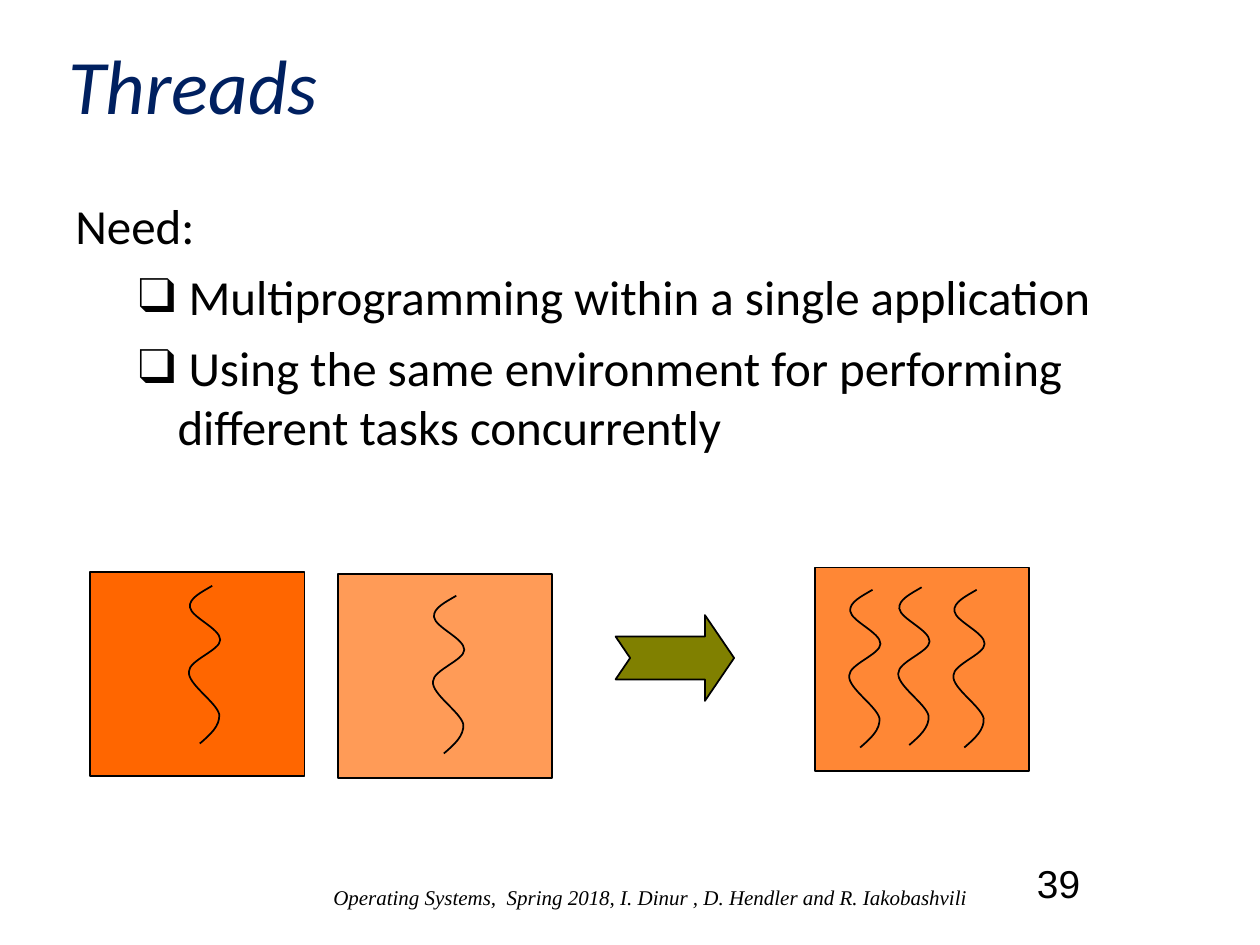
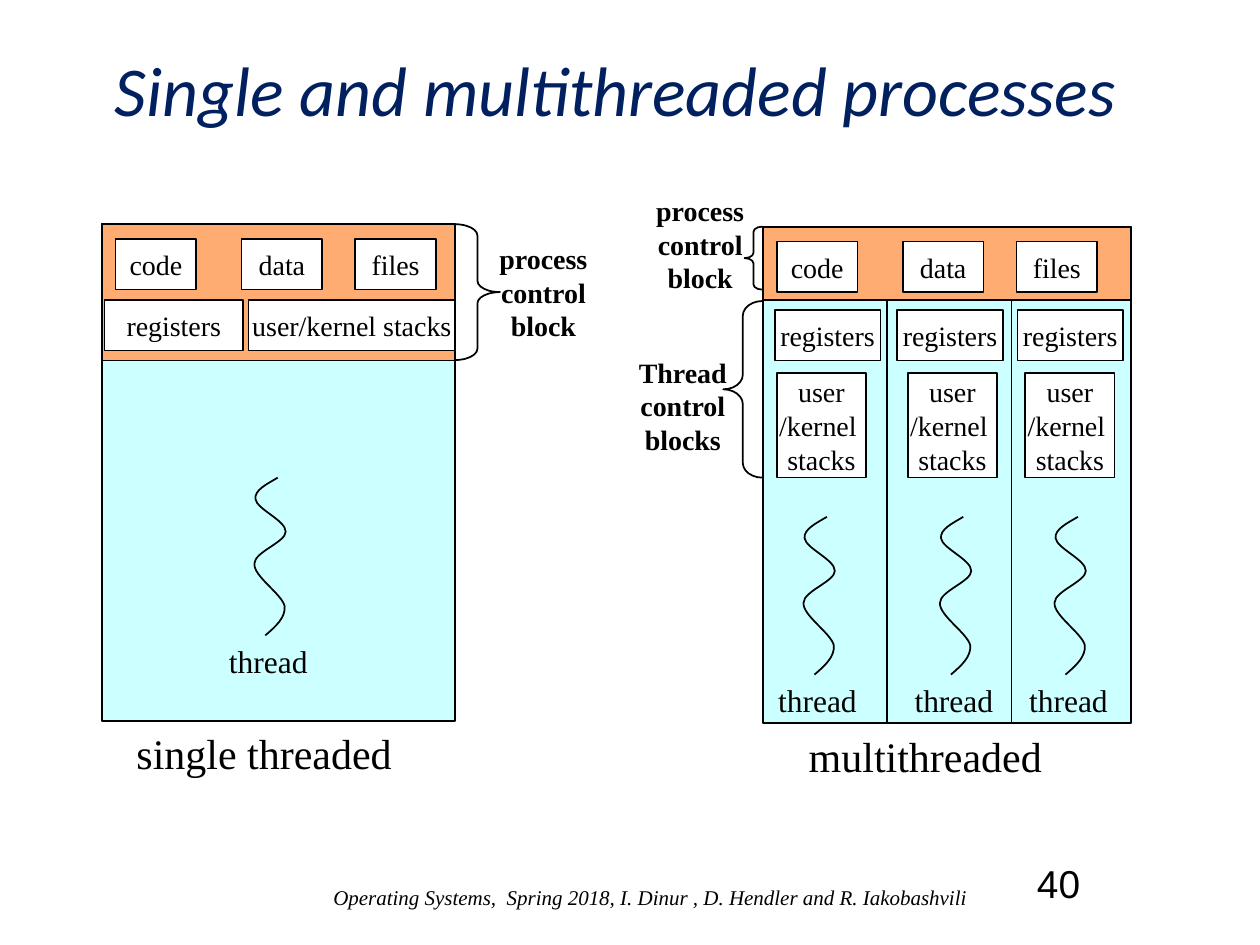
import copy

import pptx
import pptx.dml.color
import pptx.enum.shapes
import pptx.enum.text
import pptx.oxml
import pptx.oxml.ns
import pptx.util

Cm = pptx.util.Cm
Pt = pptx.util.Pt
SHAPE = pptx.enum.shapes.MSO_SHAPE
ALIGN = pptx.enum.text.PP_ALIGN
ANCHOR = pptx.enum.text.MSO_ANCHOR
qn = pptx.oxml.ns.qn

BLACK, WHITE, NAVY = "000000", "FFFFFF", "002060"
CYAN, PEACH, OLIVE = "CCFFFF", "FFAC73", "808000"
SERIF, SANS = "Times New Roman", "Calibri"

FOOTER = "Operating Systems,  Spring 2018, I. Dinur , D. Hendler and R. Iakobashvili"
FOOTER_AT = (5.75, 17.7, 14.73, 0.89)
PAGE_AT = (18.7, 17.32, 5.28, 1.27)

NEED = "Need:"
NEEDS = [
    " Multiprogramming within a single application",
    " Using the same environment for performing different tasks concurrently",
]
NEED_AT = (1.27, 3.81, 22.71, 6.43)
PROGRAMS = [
    (1.82, 11.53, "FF6600", [(3.78, 11.81)]),
    (6.81, 11.57, "FF9B57", [(8.7, 12.01)]),
    (16.43, 11.44, "FF8735", [(17.09, 11.89), (18.08, 11.84), (19.19, 11.89)]),
]
PROGRAM_SIZE = (4.32, 4.11)
ARROW_AT = (12.41, 12.4, 2.39, 1.73)

SHARED = [("code", 0.28), ("data", 2.82), ("files", 5.11)]
STACKS = "user\n/kernel \nstacks"
PROCESS_HEIGHT = 10.01
PROCESSES = [
    {
        "name": "single threaded", "left": 2.05, "top": 4.52, "width": 7.13, "header": 2.75,
        "blocks": [
            ("registers", 0.06, 1.53, 2.79, 1.02),
            ("user/kernel stacks", 2.96, 1.53, 4.17, 1.02),
        ],
        "dividers": [], "threads": [3.05], "thread_top": 5.11,
    },
    {
        "name": "multithreaded", "left": 15.38, "top": 4.57, "width": 7.42, "header": 1.48,
        "blocks": [("registers", x, 1.68, 2.13, 1.02) for x in (0.24, 2.71, 5.13)]
        + [(STACKS, x, 2.95, 1.8, 2.11) for x in (0.28, 2.92, 5.29)],
        "dividers": [2.5, 5.01], "threads": [0.79, 3.54, 5.85], "thread_top": 5.85,
    },
]
BRACES = [
    ("process control block", (9.7, 4.75), SHAPE.RIGHT_BRACE, (9.17, 4.52, 0.91, 2.74)),
    ("process control block", (12.86, 3.78), SHAPE.LEFT_BRACE, (15.01, 4.57, 0.36, 1.27)),
    ("Thread control blocks", (12.51, 7.04), SHAPE.LEFT_BRACE, (14.58, 6.07, 0.79, 3.56)),
]
BRACE_LABEL_SIZE = (2.51, 2.29)

THREAD_START = (0.5, 0)
THREAD_CURVES = [
    ((0.28, 0.13), (0.03, 0.25), (0.05, 0.43)),
    ((0.08, 0.64), (0.66, 0.86), (0.66, 1.09)),
    ((0.66, 1.3), (0.03, 1.5), (0.03, 1.73)),
    ((0, 1.98), (0.58, 2.34), (0.64, 2.59)),
    ((0.66, 2.82), (0.46, 3), (0.25, 3.18)),
]


def rgb(value):
    return pptx.dml.color.RGBColor.from_string(value)


def box(at):
    return [Cm(v) for v in at]


def add_xml(parent, tag, **attributes):
    el = parent.makeelement(qn(tag), attributes)
    parent.append(el)
    return el


def write(p, text, size, name=SERIF, color=BLACK, **formats):
    p.text = text
    for r in p.runs:
        for key, value in {"size": Pt(size), "name": name, **formats}.items():
            setattr(r.font, key, value)
        r.font.color.rgb = rgb(color)
    for br in p._p.findall(qn("a:br")):
        br.append(copy.deepcopy(p.runs[0]._r.rPr))


def add_text(s, at, text, size, align=ALIGN.CENTER, anchor=ANCHOR.TOP, **formats):
    tf = s.shapes.add_textbox(*box(at)).text_frame
    tf.word_wrap = True
    tf.vertical_anchor = anchor
    p = tf.paragraphs[0]
    p.alignment = align
    write(p, text, size, **formats)
    return tf


def style(sp, fill=None):
    sp.shadow.inherit = False
    sp.line.color.rgb = rgb(BLACK)
    sp.line.width = Pt(1)
    if fill:
        sp.fill.solid()
        sp.fill.fore_color.rgb = rgb(fill)
    else:
        sp.fill.background()
    return sp


def add_shape(s, at, fill=None, kind=SHAPE.RECTANGLE):
    return style(s.shapes.add_shape(kind, *box(at)), fill)


def add_block(s, at, text):
    tf = add_shape(s, at, WHITE).text_frame
    tf.word_wrap = False
    tf.vertical_anchor = ANCHOR.MIDDLE
    tf.paragraphs[0].alignment = ALIGN.CENTER
    write(tf.paragraphs[0], text, 16)


def add_divider(s, x, top, bottom):
    cn = s.shapes.add_connector(
        pptx.enum.shapes.MSO_CONNECTOR.STRAIGHT, *box((x, top, x, bottom)))
    cn.line.color.rgb = rgb(BLACK)
    cn.line.width = Pt(1)
    add_xml(cn._element.spPr, "a:effectLst")


def add_thread(s, left, top):
    start, *points = [(Cm(left + x), Cm(top + y))
                      for x, y in [THREAD_START, *sum(THREAD_CURVES, ())]]
    fb = s.shapes.build_freeform(*start)
    fb.add_line_segments(points, close=False)
    sp = style(fb.convert_to_shape())
    outline = next(sp._element.iter(qn("a:path")))
    segments = outline.findall(qn("a:lnTo"))
    for i in range(0, len(segments), 3):
        curve = add_xml(outline, "a:cubicBezTo")
        for segment in segments[i:i + 3]:
            curve.append(segment[0])
            outline.remove(segment)


def add_bullet(tf, text):
    p = tf.add_paragraph()
    p.level = 1
    p.space_before = Pt(7)
    pPr = p._p.get_or_add_pPr()
    pPr.set("marL", str(Cm(2.06)))
    pPr.set("indent", str(-Cm(0.79)))
    add_xml(add_xml(pPr, "a:buClr"), "a:srgbClr", val=BLACK)
    add_xml(pPr, "a:buFont", typeface=SERIF)
    add_xml(pPr, "a:buChar", char="❑")
    write(p, text, 28, SANS)


def add_slide(prs, title, left, size, page):
    s = prs.slides.add_slide(prs.slide_layouts[6])
    add_text(s, (left, 0.64, 21.59, 2.11), title, size, ALIGN.LEFT, ANCHOR.BOTTOM,
             name=SANS, color=NAVY, italic=True)
    add_text(s, FOOTER_AT, FOOTER, 12, italic=True)
    p = add_text(s, PAGE_AT, page, 22.2).paragraphs[0]
    p.line_spacing = 0.9
    p._p.get_or_add_pPr().set("rtl", "1")
    add_xml(p.runs[0]._r.rPr, "a:cs", typeface="Arial")
    return s


def build_threads(prs):
    s = add_slide(prs, "Threads", 1.13, 44, "39")
    tf = add_text(s, NEED_AT, NEED, 28, ALIGN.LEFT, name=SANS)
    for text in NEEDS:
        add_bullet(tf, text)
    for left, top, fill, threads in PROGRAMS:
        add_shape(s, (left, top, *PROGRAM_SIZE), fill)
        for thread in threads:
            add_thread(s, *thread)
    arrow = add_shape(s, ARROW_AT, OLIVE, SHAPE.NOTCHED_RIGHT_ARROW)
    arrow.adjustments[1] = 0.34


def add_process(s, process):
    left, top, width = process["left"], process["top"], process["width"]
    add_shape(s, (left, top, width, PROCESS_HEIGHT), CYAN)
    add_shape(s, (left, top, width, process["header"]), PEACH)
    add_text(s, (left + 0.28, top + PROCESS_HEIGHT + 0.02, 5.99, 1.27), process["name"], 24)
    for x in process["dividers"]:
        add_divider(s, left + x, top + process["header"], top + PROCESS_HEIGHT)
    shared = [(text, x, 0.3, 1.63, 1.02) for text, x in SHARED]
    for text, x, y, w, h in shared + process["blocks"]:
        add_block(s, (left + x, top + y, w, h), text)
    for x in process["threads"]:
        y = top + process["thread_top"]
        add_thread(s, left + x, y)
        add_text(s, (left + x - 1.15, y + 3.18, 2.92, 1.02), "thread", 18)


def build_processes(prs):
    s = add_slide(prs, "Single and multithreaded processes", 2.06, 40, "40")
    for process in PROCESSES:
        add_process(s, process)
    for text, label_at, kind, at in BRACES:
        width, height = at[2:]
        add_shape(s, at, kind=kind).adjustments[0] = height / 12 / width
        add_text(s, (*label_at, *BRACE_LABEL_SIZE), text, 16, bold=True)


def main():
    prs = pptx.Presentation()
    prs.slide_width, prs.slide_height = Cm(25.4), Cm(19.05)
    build_threads(prs)
    build_processes(prs)
    prs.save("out.pptx")


if __name__ == "__main__":
    main()
